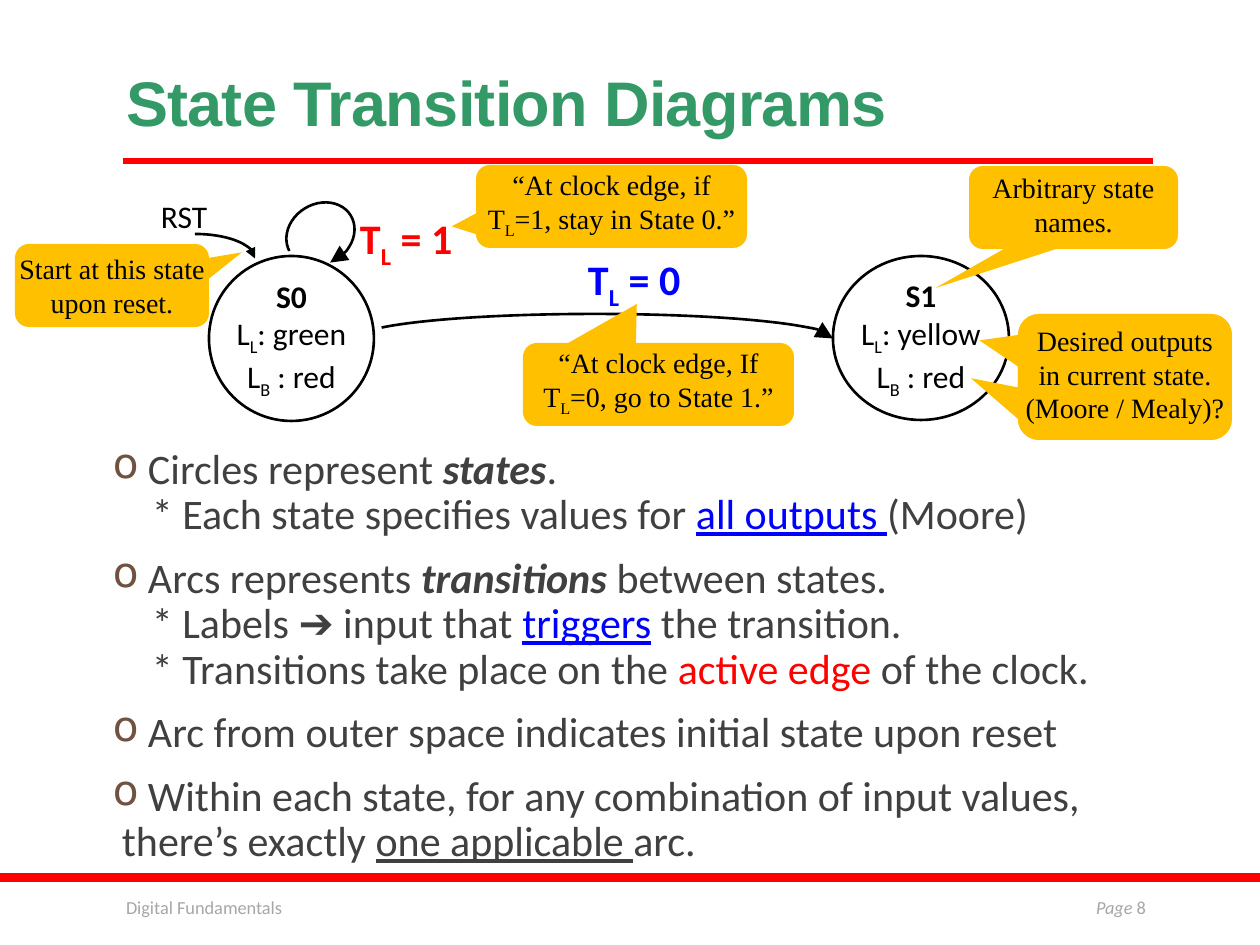
from lxml import etree
from pptx import Presentation
from pptx.dml.color import RGBColor
from pptx.enum.shapes import MSO_CONNECTOR, MSO_SHAPE
from pptx.enum.text import MSO_ANCHOR, MSO_AUTO_SIZE, PP_ALIGN
from pptx.oxml.ns import qn
from pptx.util import Emu, Pt

EMU_PER_PX = 914400 / 126
RECTANGLE, OVAL, ARC = MSO_SHAPE.RECTANGLE, MSO_SHAPE.OVAL, MSO_SHAPE.ARC
CALLOUT = MSO_SHAPE.ROUNDED_RECTANGULAR_CALLOUT
STRAIGHT = MSO_CONNECTOR.STRAIGHT
LEFT, CENTER, RIGHT = PP_ALIGN.LEFT, PP_ALIGN.CENTER, PP_ALIGN.RIGHT
TOP, MIDDLE, BOTTOM = MSO_ANCHOR.TOP, MSO_ANCHOR.MIDDLE, MSO_ANCHOR.BOTTOM
GROW = MSO_AUTO_SIZE.SHAPE_TO_FIT_TEXT

BLACK, RED, BLUE, GREEN = "000000", "FF0000", "0000FF", "339966"
GOLD, BROWN, DARK, GRAY = "FFC000", "705241", "404040", "A6A6A6"
BODY_FONT, TITLE_FONT, NOTE_FONT = "Calibri", "Arial", "Times New Roman"
DEFAULT_INSETS = (13, 6, 13, 6)


def px(length):
    return Emu(round(length * EMU_PER_PX))


def color(hex_string):
    return RGBColor.from_string(hex_string)


def write(paragraph, text, font=BODY_FONT, size=18, ink=BLACK, bold=False,
          italic=False, underline=False, subscript=False, spacing=None):
    run = paragraph.add_run()
    run.text = text
    run.font.name, run.font.size = font, Pt(size)
    run.font.bold, run.font.italic = bold, italic
    run.font.underline = underline
    run.font.color.rgb = color(ink)
    properties = run._r.get_or_add_rPr()
    if subscript:
        properties.set("baseline", "-25000")
    if spacing is not None:
        properties.set("spc", str(spacing))


def indexed(before, index, after):
    """Runs of a symbol with a subscript, followed by more text."""
    return [(before, {}), (index, {"subscript": True}), (after, {})]


def add_bullet(paragraph):
    properties = paragraph._p.get_or_add_pPr()
    properties.set("marL", str(px(9)))
    properties.set("indent", str(-px(9)))
    bullet_color = etree.SubElement(properties, qn("a:buClr"))
    etree.SubElement(bullet_color, qn("a:srgbClr"), val=BROWN)
    etree.SubElement(properties, qn("a:buChar"), char="o")


class Diagram:
    line_width = 1.5

    def __init__(self, slide):
        self.slide = slide

    def fill_text(self, shape, lines, align=LEFT, anchor=TOP,
                  insets=DEFAULT_INSETS, wrap=True, **style):
        """Write lines, each a list of (text, format) runs."""
        frame = shape.text_frame
        frame.word_wrap, frame.vertical_anchor = wrap, anchor
        if not wrap:
            frame.auto_size = GROW
        (frame.margin_left, frame.margin_top,
         frame.margin_right, frame.margin_bottom) = map(px, insets)
        for number, runs in enumerate(lines):
            paragraph = frame.add_paragraph() if number else frame.paragraphs[0]
            paragraph.alignment = align
            for text, changes in runs:
                write(paragraph, text, **{**style, **changes})
        return frame

    def text(self, box, lines, **options):
        shape = self.slide.shapes.add_textbox(*map(px, box))
        return self.fill_text(shape, lines, **options)

    def shape(self, kind, box, fill=None, line=None):
        shape = self.slide.shapes.add_shape(kind, *map(px, box))
        shape.shadow.inherit = False
        if fill:
            shape.fill.solid()
            shape.fill.fore_color.rgb = color(fill)
        else:
            shape.fill.background()
        if line:
            shape.line.color.rgb = color(line)
            shape.line.width = Pt(self.line_width)
        else:
            shape.line.fill.background()
        return shape

    def rule(self, left, right, y):
        line = self.slide.shapes.add_connector(
            STRAIGHT, px(left), px(y), px(right), px(y))
        line.line.color.rgb = color(RED)
        line.line.width = Pt(3)
        etree.SubElement(line._element.spPr, qn("a:effectLst"))

    def state(self, box, name, light):
        lines = [[(name, {"bold": True})],
                 indexed("L", "L", f": {light}"),
                 indexed("L", "B", " : red")]
        self.fill_text(self.shape(OVAL, box, line=BLACK), lines, align=CENTER,
                       anchor=MIDDLE, insets=(0, 6, 0, 6))

    def arc(self, box, start=162, end=0, rotation=0, head="lg"):
        """Arc with an arrowhead; angles are in units of 5/3 degrees."""
        arc = self.shape(ARC, box, line=BLACK)
        arc.adjustments[0], arc.adjustments[1] = start, end
        arc.rotation = rotation
        etree.SubElement(arc.line._get_or_add_ln(), qn("a:tailEnd"),
                         type="triangle", w=head, len=head)

    def condition(self, box, value, ink):
        self.text(box, [indexed("T", "L", f" = {value}")], wrap=False,
                  size=24, ink=ink, bold=True)

    def callout(self, box, tip, lines=(), bottom=6):
        callout = self.shape(CALLOUT, box, fill=GOLD)
        callout.adjustments[0], callout.adjustments[1] = tip
        self.fill_text(callout, lines, align=CENTER, anchor=MIDDLE,
                       insets=(0, 0, 0, bottom), font=NOTE_FONT, size=16)

    def outline(self, box, points):
        """Bulleted points, each a list of a heading and its sub-lines."""
        lines = [line for point in points for line in point]
        frame = self.text(box, lines, insets=(0, 6, 0, 6), size=24, ink=DARK)
        paragraphs = iter(frame.paragraphs)
        for point in points:
            for number in range(len(point)):
                paragraph = next(paragraphs)
                paragraph.line_spacing = 0.9
                paragraph.space_before = Pt(0 if number else 9)
                paragraph.space_after = Pt(1.5 if number == len(point) - 1 else 0)
                if number:
                    paragraph._p.get_or_add_pPr().set("marL", str(px(39)))
                else:
                    add_bullet(paragraph)


def main():
    presentation = Presentation()
    presentation.slide_width, presentation.slide_height = px(1260), px(945)
    diagram = Diagram(presentation.slides.add_slide(presentation.slide_layouts[6]))

    diagram.shape(RECTANGLE, (0, 873, 1260, 9), fill=RED)
    diagram.rule(123, 1153, 161)
    title = diagram.text((113, 39, 1040, 106), [[("State Transition Diagrams", {})]],
                         anchor=BOTTOM, font=TITLE_FONT, size=36, ink=GREEN,
                         bold=True, spacing=-40)
    title.paragraphs[0].line_spacing = 0.85

    emphasis = {"bold": True, "italic": True}
    key_term = {"ink": BLUE, "underline": True}
    diagram.outline((113, 442, 1046, 474), [
        [[(" Circles represent ", {}), ("states", emphasis), (".", {})],
         [("* Each state specifies values for ", {}), ("all outputs ", key_term),
          ("(Moore)", {})]],
        [[(" Arcs represents ", {}), ("transitions", emphasis),
          (" between states.", {})],
         [("* Labels ➔ input that ", {}), ("triggers", key_term),
          (" the transition.", {})],
         [("* Transitions take place on the ", {}), ("active edge ", {"ink": RED}),
          ("of the clock.", {})]],
        [[(" Arc from outer space indicates initial state upon reset", {})]],
        [[(" Within each state, for any combination of input values, "
           "there’s exactly ", {}),
          ("one applicable ", {"underline": True}), ("arc.", {})]],
    ])

    footer = {"size": 10.5, "ink": GRAY}
    diagram.text((113, 890, 499, 50), [[("Digital Fundamentals", {})]], **footer)
    diagram.text((1023, 890, 136, 50), [[("Page ", {"italic": True}), ("8", {})]],
                 align=RIGHT, **footer)

    diagram.state((209, 256, 165, 165), "S0", "green")
    diagram.arc((135, 234, 120, 49), head="med")
    diagram.text((148, 191, 76, 50), [[("RST", {})]], wrap=False)
    diagram.state((833, 256, 176, 164), "S1", "yellow")
    diagram.arc((357, 314, 476, 49), start=109.75)
    diagram.condition((575, 248, 120, 63), 0, BLUE)
    diagram.arc((285, 204, 71, 60), start=109.75, end=61.68, rotation=328.5)
    diagram.condition((347, 207, 120, 63), 1, RED)

    diagram.callout((523, 343, 271, 83), (-0.08, -0.97),
                    [indexed("“At clock edge, If T", "L", "=0, go to State 1.”")])
    diagram.callout((476, 165, 271, 83), (-0.59, 0.24),
                    [indexed("“At clock edge, if T", "L", "=1, stay in State 0.”")])
    outputs_box = (1018, 314, 214, 126)
    diagram.callout(outputs_box, (-0.68, -0.29))
    diagram.callout(outputs_box, (-0.72, 0.01),
                    [[("Desired outputs in current state.", {})],
                     [("(Moore / Mealy)?", {})]])
    diagram.callout((969, 166, 209, 83), (-0.66, 0.97),
                    [[("Arbitrary state names.", {})]])
    diagram.callout((15, 244, 194, 83), (0.67, -0.4),
                    [[("Start at this state upon reset.", {})]], bottom=0)

    presentation.save("out.pptx")


if __name__ == "__main__":
    main()
